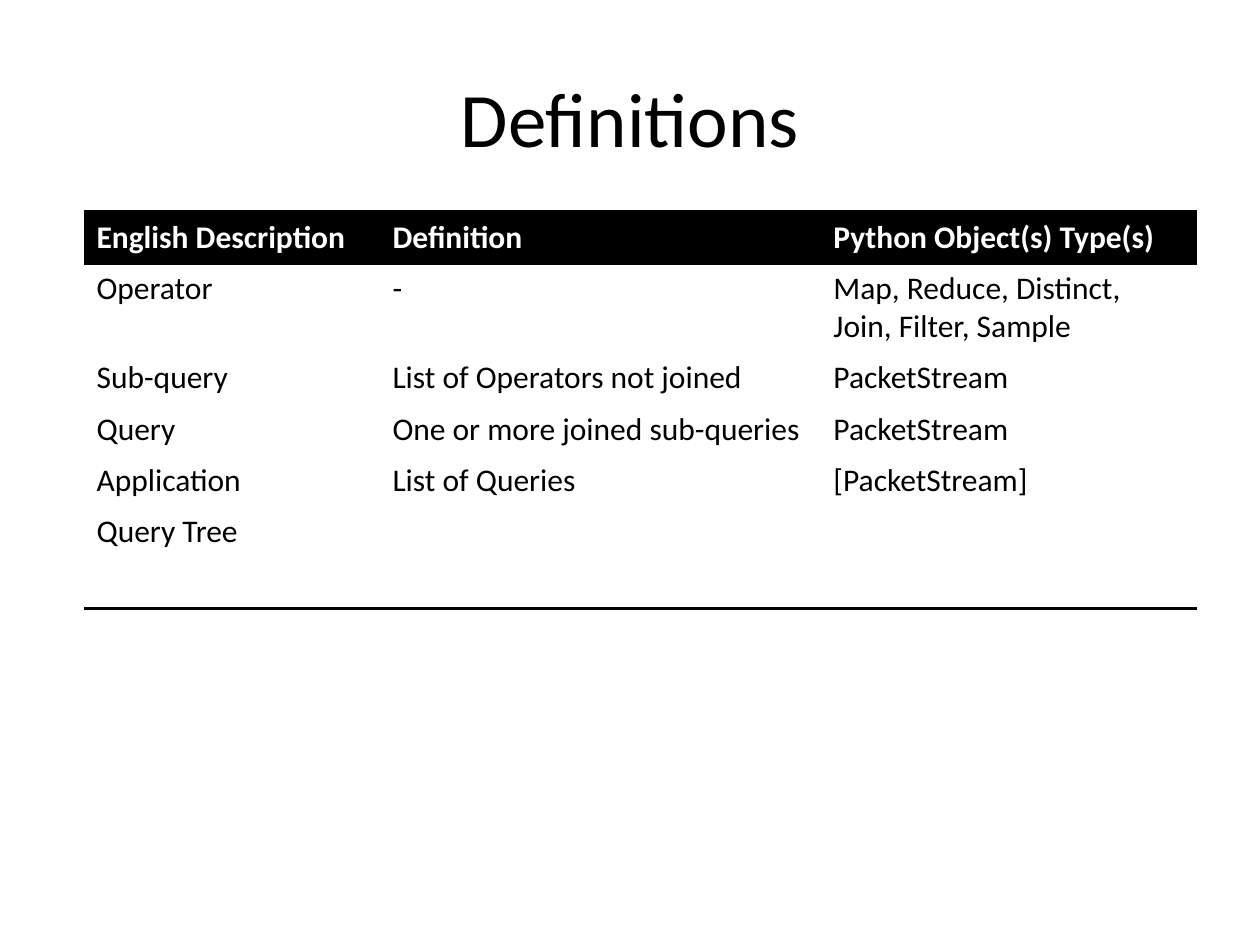
from pptx import Presentation
from pptx.dml.color import RGBColor
from pptx.enum.text import MSO_ANCHOR as Anchor, PP_ALIGN as Align
from pptx.oxml import parse_xml
from pptx.oxml.ns import nsdecls, qn
from pptx.util import Pt

PX = 914400 // 126  # EMU per pixel
BLACK, WHITE = "000000", "FFFFFF"
NO_STYLE = "{2D5ABB26-0587-4C30-8999-92F81FD0307C}"
TITLE_FONT = {"name": "Calibri", "size": Pt(44), "bold": False}
HEADER_FONT = {"name": "Calibri", "size": Pt(18), "bold": True}
BODY_FONT = {**HEADER_FONT, "bold": False}

COLUMN_WIDTHS = (296, 441, 376)
ROW_HEIGHT = 51
DEFINITIONS = (
    ("English Description", "Definition", "Python Object(s) Type(s)"),
    ("Operator", "-", "Map, Reduce, Distinct, Join, Filter, Sample"),
    ("Sub-query", "List of Operators not joined", "PacketStream"),
    ("Query", "One or more joined sub-queries", "PacketStream"),
    ("Application", "List of Queries", "[PacketStream]"),
    ("Query Tree", "", ""),
    ("", "", ""),
)


def px(*lengths):
    """Turn pixel lengths into EMU."""
    return [length * PX for length in lengths]


def color(hex_value):
    """Turn a hex string into a colour."""
    return RGBColor.from_string(hex_value)


def style(font, values, hex_value):
    """Apply format values and a colour to a font."""
    for key, value in values.items():
        setattr(font, key, value)
    font.color.rgb = color(hex_value)


def add_border(cell, side):
    """Draw a black 2 pt border on one side ("T" or "B") of a cell."""
    cell._tc.get_or_add_tcPr().append(parse_xml(
        f'<a:ln{side} {nsdecls("a")} w="{Pt(2)}"><a:solidFill>'
        f'<a:srgbClr val="{BLACK}"/></a:solidFill></a:ln{side}>'))


def fill_cell(cell, text, is_header, border_sides):
    """Write and format one cell; borders must precede the fill."""
    for side in border_sides:
        add_border(cell, side)
    cell.fill.solid()
    cell.fill.fore_color.rgb = color(BLACK if is_header else WHITE)
    cell.text = text
    paragraph = cell.text_frame.paragraphs[0]
    for part in (paragraph, *paragraph.runs):
        style(part.font, HEADER_FONT if is_header else BODY_FONT,
              WHITE if is_header else BLACK)


def place_title(slide, left, top, width, height):
    """Place the slide title in the given box."""
    title = slide.shapes.title
    title.left, title.top, title.width, title.height = px(left, top, width, height)
    frame = title.text_frame
    frame.text = "Definitions"
    frame.vertical_anchor = Anchor.MIDDLE
    paragraph = frame.paragraphs[0]
    paragraph.alignment = Align.CENTER
    style(paragraph.runs[0].font, TITLE_FONT, BLACK)


def place_definitions(slide, left, top):
    """Place the table of definitions with its corner at left, top."""
    last = len(DEFINITIONS) - 1
    box = px(left, top, sum(COLUMN_WIDTHS), ROW_HEIGHT * len(DEFINITIONS))
    frame = slide.shapes.add_table(len(DEFINITIONS), len(COLUMN_WIDTHS), *box)
    table = frame.table
    table.horz_banding = False
    next(frame.element.iter(qn("a:tableStyleId"))).text = NO_STYLE
    for column, width in zip(table.columns, px(*COLUMN_WIDTHS)):
        column.width = width
    for r, texts in enumerate(DEFINITIONS):
        sides = {0: "TB", last: "B"}.get(r, "")
        for c, text in enumerate(texts):
            fill_cell(table.cell(r, c), text, r == 0, sides)


def build_slide(deck):
    """Add the definitions slide."""
    slide = deck.slides.add_slide(deck.slide_layouts[5])
    place_title(slide, 63, 38, 1134, 157)
    place_definitions(slide, 84, 212)


deck = Presentation()
deck.slide_width, deck.slide_height = px(1260, 945)
build_slide(deck)
deck.save("out.pptx")
